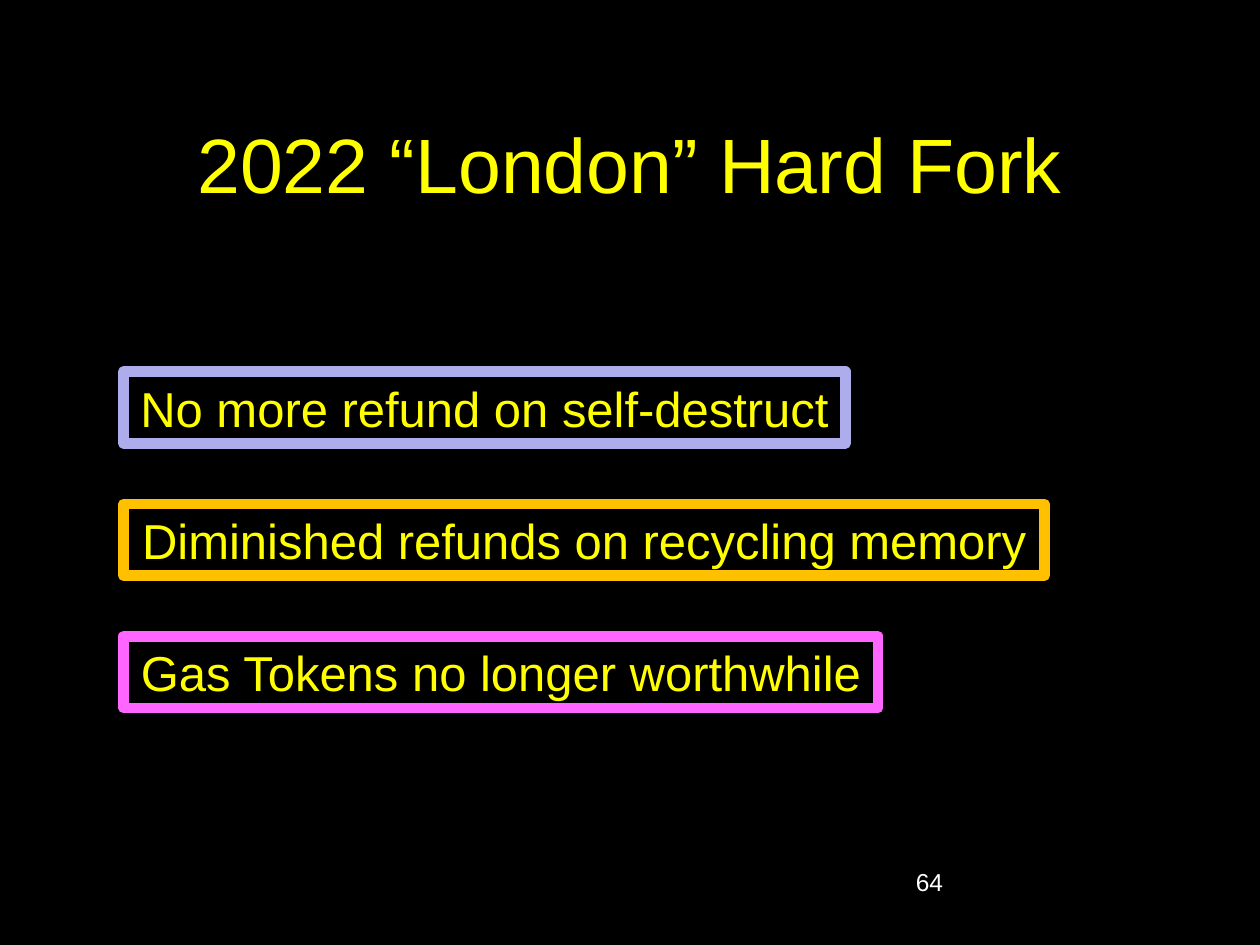
from pptx import Presentation
from pptx.dml.color import RGBColor
from pptx.enum.shapes import MSO_SHAPE
from pptx.enum.text import MSO_ANCHOR, PP_ALIGN
from pptx.util import Inches, Pt

RECT = MSO_SHAPE.RECTANGLE
MIDDLE = MSO_ANCHOR.MIDDLE
LEFT, CENTER = PP_ALIGN.LEFT, PP_ALIGN.CENTER

BLACK = RGBColor(0x00, 0x00, 0x00)
WHITE = RGBColor(0xFF, 0xFF, 0xFF)
YELLOW = RGBColor(0xFF, 0xFF, 0x00)
LAVENDER = RGBColor(0xAD, 0xAD, 0xEB)
AMBER = RGBColor(0xFF, 0xC0, 0x00)
PINK = RGBColor(0xFF, 0x66, 0xFF)

TITLE = "2022 “London” Hard Fork"
PAGE_NUMBER = "64"
CHANGES = [  # text, box width, border colour
    ("No more refund on self-destruct", 5.73, LAVENDER),
    ("Diminished refunds on recycling memory", 7.31, AMBER),
    ("Gas Tokens no longer worthwhile", 5.99, PINK),
]
BOX_LEFT, BOX_TOP, BOX_HEIGHT, BOX_STEP = 0.98, 2.95, 0.57, 1.05


def set_text(sp, text, size, color, align):
    tf = sp.text_frame
    tf.text = text
    p = tf.paragraphs[0]
    p.alignment = align
    font = p.runs[0].font
    font.name = "Arial"
    font.size = Pt(size)
    font.color.rgb = color
    return tf


prs = Presentation()
prs.slide_width, prs.slide_height = Inches(10), Inches(7.5)
s = prs.slides.add_slide(prs.slide_layouts[5])
s.background.fill.solid()
s.background.fill.fore_color.rgb = BLACK

title = s.shapes.title
title.left, title.top = Inches(0.75), Inches(0.67)
title.width, title.height = Inches(8.5), Inches(1.25)
set_text(title, TITLE, 44, YELLOW, CENTER).vertical_anchor = MIDDLE

number = s.shapes.add_textbox(Inches(7.17), Inches(6.83), Inches(2.08), Inches(0.5))
set_text(number, PAGE_NUMBER, 14, WHITE, LEFT).word_wrap = True

for i, (text, width, border) in enumerate(CHANGES):
    sp = s.shapes.add_shape(RECT, Inches(BOX_LEFT), Inches(BOX_TOP + i * BOX_STEP),
                            Inches(width), Inches(BOX_HEIGHT))
    sp.shadow.inherit = False
    sp.fill.solid()
    sp.fill.fore_color.rgb = BLACK
    sp.line.color.rgb = border
    sp.line.width = Pt(6)
    tf = set_text(sp, text, 28, YELLOW, CENTER)
    tf.word_wrap = False
    tf.vertical_anchor = MIDDLE

prs.save("out.pptx")
